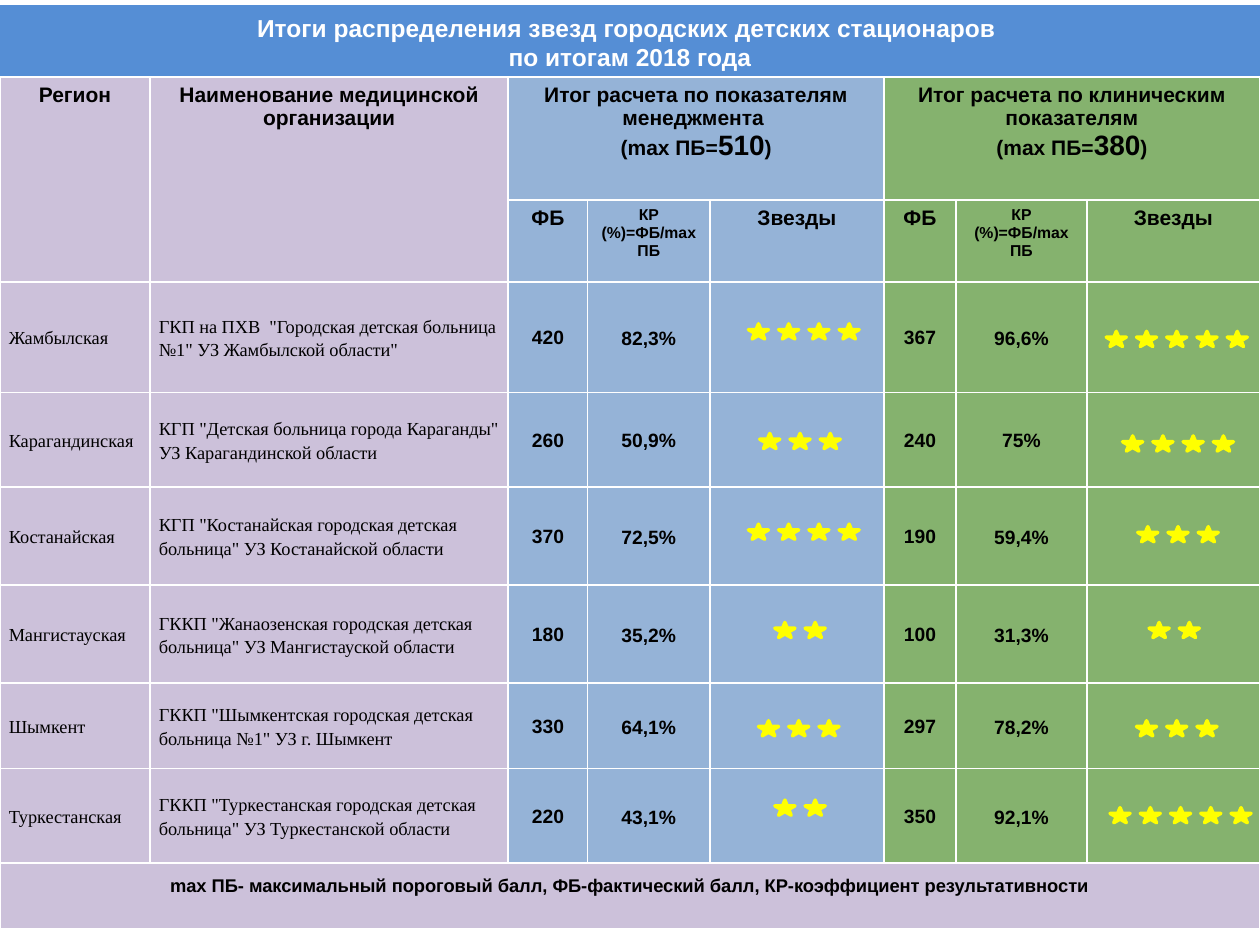
from dataclasses import dataclass

from lxml import etree
from pptx import Presentation
from pptx import util as u
from pptx.dml import color
from pptx.enum import shapes, text
from pptx.oxml import ns


@dataclass(frozen=True)
class Theme:
    banner: str = "558ED5"
    lilac: str = "CCC1DA"
    blue: str = "95B3D7"
    green: str = "85B26E"
    star: str = "FFFF00"
    white: str = "FFFFFF"
    black: str = "000000"
    sans: str = "Arial"
    serif: str = "Times New Roman"
    title: float = 14
    maximum: float = 16
    heading: float = 12
    formula: float = 9
    value: float = 11
    name: float = 10.5


THEME = Theme()
COLUMNS = [1.19, 2.84, 0.63, 0.97, 1.38, 0.57, 1.04, 1.37]
ROWS = [0.98, 0.65, 0.88, 0.75, 0.78, 0.78, 0.68, 0.75, 0.52]
COLUMN_FILLS = [THEME.lilac] * 2 + [THEME.blue] * 3 + [THEME.green] * 3
GROUPS = [
    (2, "Итог расчета по показателям менеджмента ", "510"),
    (5, "Итог расчета по клиническим показателям", "380"),
]
HOSPITALS = [
    ("Жамбылская", 'ГКП на ПХВ  "Городская детская больница №1" УЗ Жамбылской области"',
     "420", "82,3%", "367", "96,6%"),
    ("Карагандинская", 'КГП "Детская больница города Караганды" УЗ Карагандинской области',
     "260", "50,9%", "240", "75%"),
    ("Костанайская", 'КГП "Костанайская городская детская больница" УЗ Костанайской области',
     "370", "72,5%", "190", "59,4%"),
    ("Мангистауская", 'ГККП "Жанаозенская городская детская больница" УЗ Мангистауской области',
     "180", "35,2%", "100", "31,3%"),
    ("Шымкент", 'ГККП "Шымкентская городская детская больница №1" УЗ г. Шымкент',
     "330", "64,1%", "297", "78,2%"),
    ("Туркестанская", 'ГККП "Туркестанская городская детская больница" УЗ Туркестанской области',
     "220", "43,1%", "350", "92,1%"),
]
STAR_ROWS = [
    (5.94, 2.57, 4), (8.78, 2.63, 5),
    (6.03, 3.44, 3), (8.91, 3.46, 4),
    (5.94, 4.16, 4), (9.03, 4.18, 3),
    (6.15, 4.94, 2), (9.12, 4.94, 2),
    (6.02, 5.72, 3), (9.02, 5.72, 3),
    (6.15, 6.35, 2), (8.81, 6.41, 5),
]


def rgb(value):
    return color.RGBColor.from_string(value)


def add_span(para, words, size, font=THEME.sans, bold=True, ink=THEME.black):
    span = para.add_run()
    span.text = words
    span.font.size = u.Pt(size)
    span.font.name = font
    span.font.bold = bold
    span.font.color.rgb = rgb(ink)


def add_title(page, left, top, width, height):
    banner = page.shapes.add_shape(
        shapes.MSO_SHAPE.RECTANGLE,
        u.Inches(left), u.Inches(top), u.Inches(width), u.Inches(height))
    banner.shadow.inherit = False
    banner.fill.solid()
    banner.fill.fore_color.rgb = rgb(THEME.banner)
    banner.line.fill.background()
    frame = banner.text_frame
    frame.word_wrap = True
    frame.vertical_anchor = text.MSO_ANCHOR.MIDDLE
    para = frame.paragraphs[0]
    para.alignment = text.PP_ALIGN.CENTER
    add_span(para, "Итоги распределения звезд городских детских стационаров ",
             THEME.title, ink=THEME.white)
    para.add_line_break()
    add_span(para, "по итогам 2018 года", THEME.title, ink=THEME.white)


def style_cell(cell, fill):
    properties = cell._tc.get_or_add_tcPr()
    for side in ("a:lnL", "a:lnR", "a:lnT", "a:lnB"):
        line = etree.SubElement(properties, ns.qn(side), w=str(u.Pt(1)))
        paint = etree.SubElement(line, ns.qn("a:solidFill"))
        etree.SubElement(paint, ns.qn("a:srgbClr"), val=THEME.white)
    cell.fill.solid()
    cell.fill.fore_color.rgb = rgb(fill)


def set_margins(cell, side, top, bottom=0):
    cell.vertical_anchor = text.MSO_ANCHOR.MIDDLE
    cell.margin_left = cell.margin_right = u.Inches(side)
    cell.margin_top = u.Inches(top)
    cell.margin_bottom = u.Inches(bottom)


def write_heading(cell, words, size=THEME.heading):
    para = cell.text_frame.paragraphs[0]
    para.alignment = text.PP_ALIGN.CENTER
    add_span(para, words, size)


def fill_header(table):
    for column, words in enumerate(("Регион", "Наименование медицинской организации")):
        table.cell(0, column).merge(table.cell(1, column))
        write_heading(table.cell(0, column), words)
    for first, words, maximum in GROUPS:
        cell = table.cell(0, first)
        cell.merge(table.cell(0, first + 2))
        write_heading(cell, words)
        para = cell.text_frame.add_paragraph()
        para.alignment = text.PP_ALIGN.CENTER
        add_span(para, "(mах ПБ=", THEME.heading)
        add_span(para, maximum, THEME.maximum)
        add_span(para, ")", THEME.heading)
        write_heading(table.cell(1, first), "ФБ")
        write_heading(table.cell(1, first + 1), "КР (%)=ФБ/max ПБ", THEME.formula)
        write_heading(table.cell(1, first + 2), "Звезды")


def fill_hospital(table, row, hospital):
    for column, words in zip((0, 1, 2, 3, 5, 6), hospital):
        cell = table.cell(row, column)
        para = cell.text_frame.paragraphs[0]
        if column in (2, 5):
            set_margins(cell, 0.01, 0.01)
        else:
            set_margins(cell, 0.07, 0)
            para.line_spacing = 1.15
        if column < 2:
            add_span(para, words, THEME.name, THEME.serif, False)
        else:
            para.alignment = text.PP_ALIGN.CENTER
            add_span(para, words, THEME.value)


def fill_footer(table, row):
    cell = table.cell(row, 0)
    cell.merge(table.cell(row, len(COLUMNS) - 1))
    set_margins(cell, 0.01, 0.01, 0.16)
    write_heading(cell, "mах ПБ- максимальный пороговый балл, ФБ-фактический балл, "
                        "КР-коэффициент результативности", THEME.name)


def add_results(page, left, top, width, height):
    table = page.shapes.add_table(
        len(ROWS), len(COLUMNS),
        u.Inches(left), u.Inches(top), u.Inches(width), u.Inches(height)).table
    table.first_row = table.horz_banding = False
    for column, share in zip(table.columns, COLUMNS):
        column.width = u.Inches(width * share / sum(COLUMNS))
    for row, share in zip(table.rows, ROWS):
        row.height = u.Inches(height * share / sum(ROWS))
    footer = len(ROWS) - 1
    for row in range(len(ROWS)):
        for column, fill in enumerate(COLUMN_FILLS):
            style_cell(table.cell(row, column), THEME.lilac if row == footer else fill)
    fill_header(table)
    for row, hospital in enumerate(HOSPITALS, start=2):
        fill_hospital(table, row, hospital)
    fill_footer(table, footer)


def add_stars(page, left, top, count):
    for index in range(count):
        star = page.shapes.add_shape(
            shapes.MSO_SHAPE.STAR_5_POINT, u.Inches(left + 0.24 * index),
            u.Inches(top), u.Inches(0.16), u.Inches(0.12))
        star.shadow.inherit = False
        star.fill.solid()
        star.fill.fore_color.rgb = rgb(THEME.star)
        star.line.color.rgb = rgb(THEME.star)
        star.line.width = u.Pt(2)


def main():
    deck = Presentation()
    deck.slide_width, deck.slide_height = u.Inches(10), u.Inches(7.5)
    page = deck.slides.add_slide(deck.slide_layouts[6])
    add_title(page, 0, 0.04, 10, 0.59)
    add_results(page, 0, 0.61, 10, 6.76)
    for left, top, count in STAR_ROWS:
        add_stars(page, left, top, count)
    deck.save("out.pptx")


if __name__ == "__main__":
    main()
